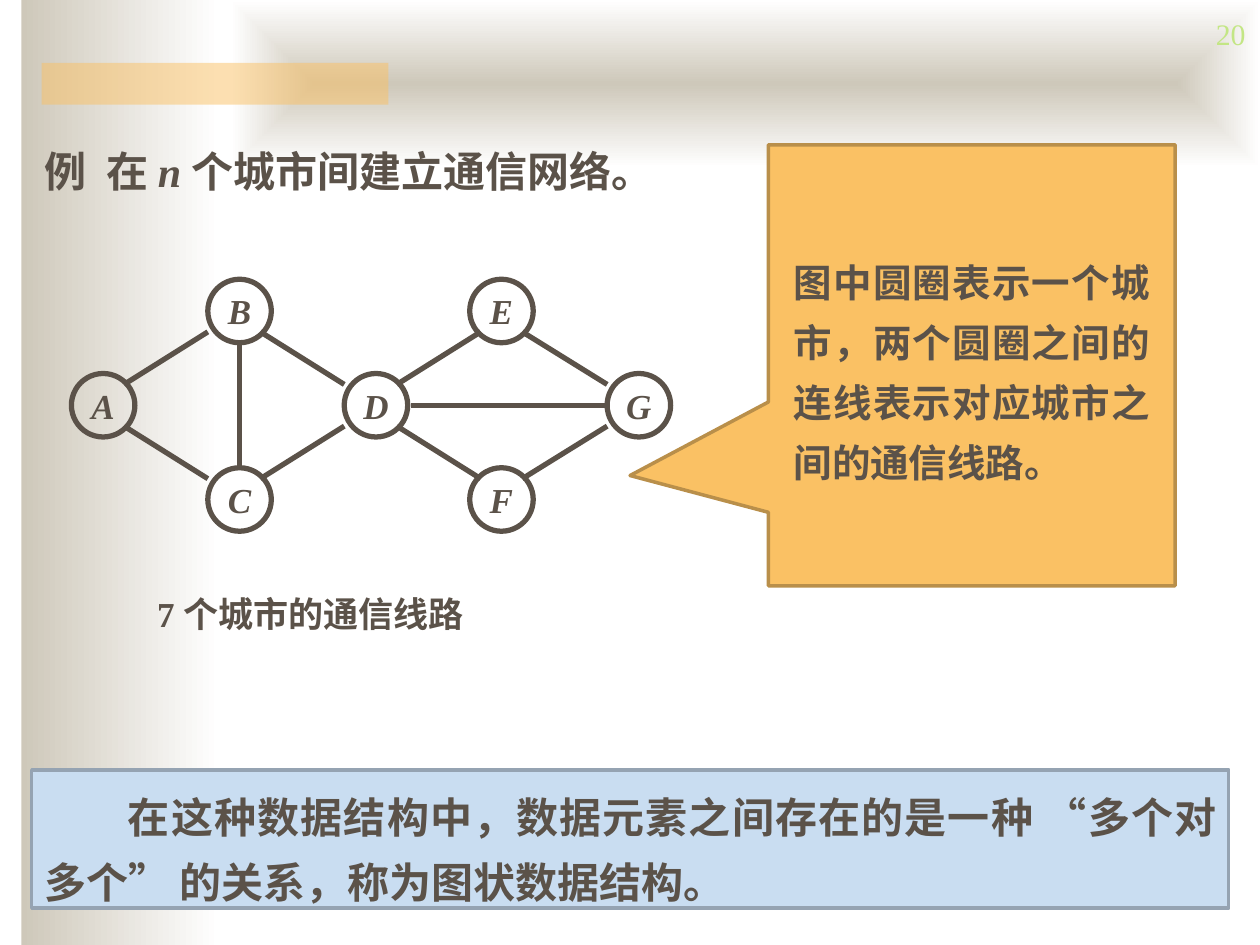
from lxml import etree
from pptx import Presentation
from pptx.dml.color import RGBColor
from pptx.enum import shapes, text
from pptx.oxml import ns
from pptx.util import Cm, Pt

INK = RGBColor(0x5B, 0x52, 0x49)
SAND = RGBColor(0xCE, 0xC8, 0xBA)
WHITE = RGBColor(0xFF, 0xFF, 0xFF)
ORANGE = RGBColor(0xFA, 0xC1, 0x64)
ORANGE_EDGE = RGBColor(0xB9, 0x8F, 0x4A)
BLUE = RGBColor(0xC9, 0xDD, 0xF1)
BLUE_EDGE = RGBColor(0x95, 0xA3, 0xB2)
GREEN = RGBColor(0xC3, 0xE6, 0x84)
LATIN, CJK = "Times New Roman", "Noto Sans CJK SC"

# Content: runs are (text, format changes)
PAGE = [("20", {"bold": False})]
HEADING = [("例", {}), (" ", {"spacing": 600}), ("在 ", {}),
           ("n ", {"italic": True}), ("个城市间建立通信网络。", {})]
CAPTION = [("7 个城市的通信线路", {})]
CALLOUT = [("图中圆圈表示一个城市，两个圆圈之间的连线表示对应城市之间的通信线路。", {})]
SUMMARY = [("在这种数据结构中，数据元素之间存在的", {}), ("是一种 ", {"name": CJK}),
           ("“", {}), ("多个对多个", {"name": CJK}),
           ("” 的关系，称为图状数据结构。", {})]

# City graph: (column, row) of each city, and the links between cities
CITIES = {"A": (0, 1), "B": (1, 0), "C": (1, 2), "D": (2, 1),
          "E": (3, 0), "F": (3, 2), "G": (4, 1)}
LINKS = ["AB", "AC", "BD", "CD", "DE", "DF", "EG", "FG", "BC", "DG"]
COLUMNS = [2.08, 4.83, 7.58, 10.11, 12.88]
ROW_TOP, ROW_GAP = 6.27, 1.9
RADIUS, CORNER = 0.64, 0.42

prs = Presentation()
prs.slide_width, prs.slide_height = Cm(25.4), Cm(19.05)
s = prs.slides.add_slide(prs.slide_layouts[5])


def write(sp, runs, size, color=INK, align=None, spacing=None, indent=None, **frame):
    tf = sp.text_frame
    settings = {"word_wrap": True, "auto_size": text.MSO_AUTO_SIZE.NONE,
                "vertical_anchor": text.MSO_ANCHOR.TOP, **frame}
    for key, value in settings.items():
        setattr(tf, key, value)
    p = tf.paragraphs[0]
    p.alignment = align or text.PP_ALIGN.LEFT
    if spacing:
        p.line_spacing = spacing
    if indent:
        p._p.get_or_add_pPr().set("indent", str(indent))
    for words, changes in runs:
        r = p.add_run()
        r.text = words
        look = {"size": Pt(size), "name": LATIN, "bold": True, "italic": False, **changes}
        tracking = look.pop("spacing", None)
        for key, value in look.items():
            setattr(r.font, key, value)
        r.font.color.rgb = color
        rPr = r._r.get_or_add_rPr()
        if tracking:
            rPr.set("spc", str(tracking))
        etree.SubElement(rPr, ns.qn("a:ea"), typeface=CJK)


def add_shape(parent, kind, box, fill=None, edge=None, width=2):
    sp = parent.add_shape(kind, *map(Cm, box))
    sp.shadow.inherit = False
    if fill is None:
        sp.fill.background()
    else:
        sp.fill.solid()
        sp.fill.fore_color.rgb = fill
    if edge is None:
        sp.line.fill.background()
    else:
        sp.line.color.rgb = edge
        sp.line.width = Pt(width)
    return sp


def add_gradient(box):
    sp = add_shape(s.shapes, RECT, box)
    sp.fill.gradient()
    sp.fill.gradient_angle = 0
    for stop, color in zip(sp.fill.gradient_stops, (SAND, WHITE)):
        stop.color.rgb = color
    return sp


def add_text(box, runs, size, **options):
    write(s.shapes.add_textbox(*map(Cm, box)), runs, size, **options)


def center(city):
    column, row = CITIES[city]
    return COLUMNS[column], ROW_TOP + row * ROW_GAP


def link_ends(a, b):
    (x1, y1), (x2, y2) = center(a), center(b)
    if x1 == x2:
        return x1, y1 + RADIUS, x2, y2 - RADIUS
    if y1 == y2:
        return x1 + RADIUS + 0.07, y1, x2 - RADIUS, y2
    down = CORNER if y2 > y1 else -CORNER
    reach = CORNER if b in "EF" else RADIUS
    return x1 + CORNER, y1 + down, x2 - reach, y2 - down


RECT = shapes.MSO_SHAPE.RECTANGLE
JUSTIFY = text.PP_ALIGN.JUSTIFY
MIDDLE = text.MSO_ANCHOR.MIDDLE

# Background bands
add_gradient((0.43, 0, 4.01, 19.05))
band = add_gradient((4.65, 0, 20.75, 3.38))
grad = band._element.spPr.find(ns.qn("a:gradFill"))
grad.remove(grad.find(ns.qn("a:lin")))
focus = etree.SubElement(grad, ns.qn("a:path"), path="shape")
etree.SubElement(focus, ns.qn("a:fillToRect"), l="50000", t="50000", r="50000", b="50000")
bar = add_shape(s.shapes, RECT, (0.84, 1.27, 6.99, 0.84), ORANGE)
tint = bar._element.spPr.find(".//" + ns.qn("a:srgbClr"))
etree.SubElement(tint, ns.qn("a:alpha"), val="50000")

# Page number and heading
add_text((24.51, 0.23, 0.89, 0.91), PAGE, 17, color=GREEN, vertical_anchor=MIDDLE,
         margin_left=0, margin_right=0)
title = s.shapes.title
title.left, title.top, title.width, title.height = map(Cm, (0.64, 2.51, 24.76, 1.45))
write(title, HEADING, 24, align=JUSTIFY, spacing=1.3)
s.shapes._spTree.append(title._element)

# City graph
graph = s.shapes.add_group_shape().shapes
for city in CITIES:
    x, y = center(city)
    sp = add_shape(graph, shapes.MSO_SHAPE.OVAL,
                   (x - RADIUS, y - RADIUS, 2 * RADIUS, 2 * RADIUS), edge=INK, width=3)
    write(sp, [(city, {"italic": True})], 20, align=text.PP_ALIGN.CENTER,
          word_wrap=False, vertical_anchor=MIDDLE)
for a, b in LINKS:
    line = graph.add_connector(shapes.MSO_CONNECTOR.STRAIGHT, *map(Cm, link_ends(a, b)))
    line.line.color.rgb = INK
    line.line.width = Pt(3)
    etree.SubElement(line._element.spPr, ns.qn("a:effectLst"))
add_text((2.92, 11.81, 9.96, 1.09), CAPTION, 20)

# Summary and callout
summary = add_shape(s.shapes, RECT, (0.64, 15.52, 24.13, 2.79), BLUE, BLUE_EDGE)
write(summary, SUMMARY, 24, align=JUSTIFY, spacing=1.3, indent=Cm(1.69))
callout = add_shape(s.shapes, shapes.MSO_SHAPE.RECTANGULAR_CALLOUT,
                    (15.49, 2.92, 8.2, 8.89), ORANGE, ORANGE_EDGE)
callout.adjustments[0], callout.adjustments[1] = -0.84, 0.25
write(callout, CALLOUT, 22, align=JUSTIFY, spacing=1.3, vertical_anchor=MIDDLE,
      margin_left=Cm(0.51), margin_right=Cm(0.51))

prs.save("out.pptx")
